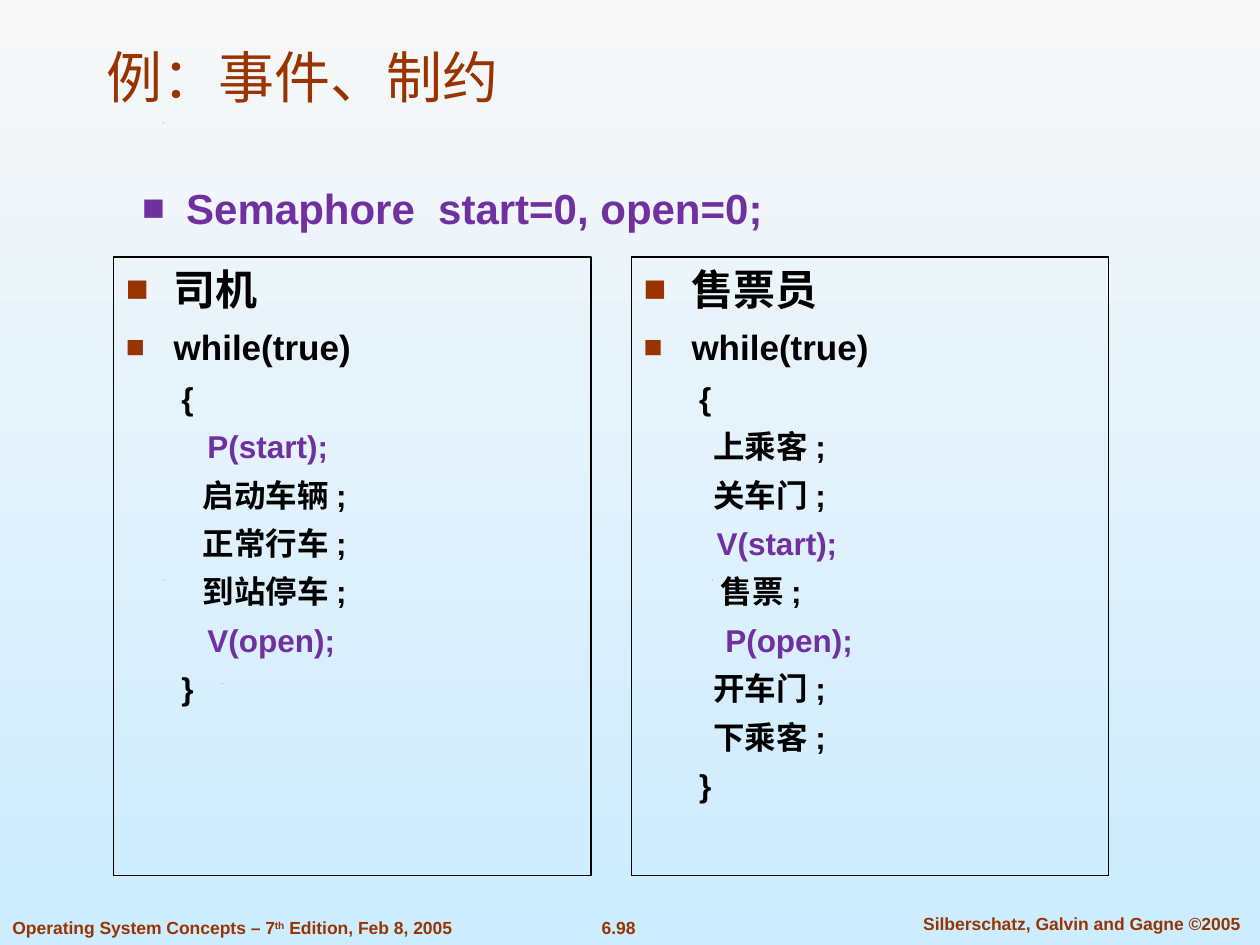
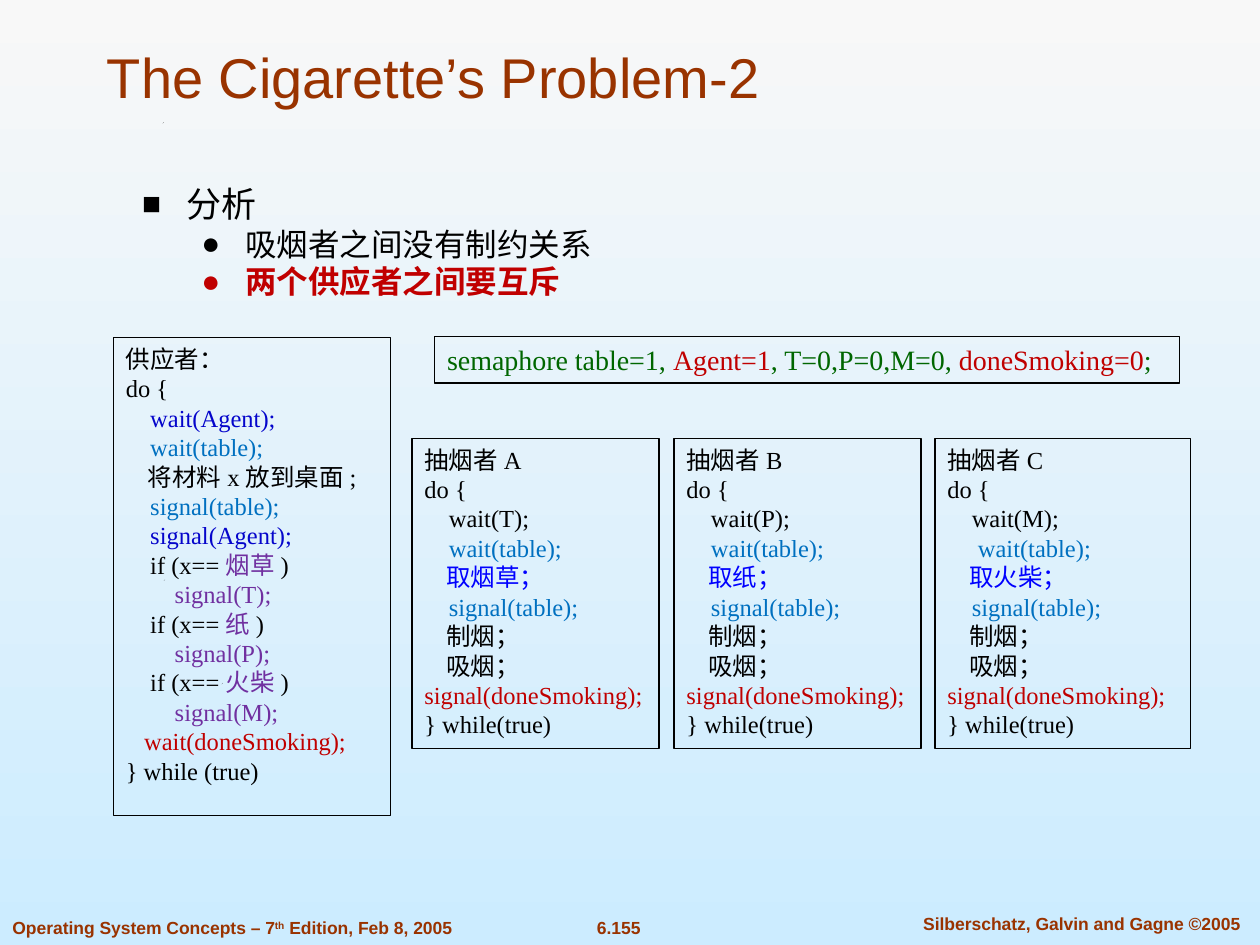
"""Build two slides on semaphores: driver and conductor, then the smokers."""
import lxml.etree
import pptx
import pptx.dml.color
import pptx.enum.shapes
import pptx.enum.text
import pptx.oxml.ns
import pptx.util

Inches = pptx.util.Inches
Pt = pptx.util.Pt
ALIGN = pptx.enum.text.PP_ALIGN
ANCHOR = pptx.enum.text.MSO_ANCHOR

HUES = {
    "top": "F8F8F8", "base": "CCECFF", "rust": "993300", "black": "000000",
    "purple": "7030A0", "red": "C00000", "navy": "0505CB", "sky": "0070C0",
    "blue": "0000FF", "green": "006600",
}
FONTS = {
    "title": {"name": "Arial", "size": Pt(32), "bold": False},
    "foot": {"name": "Arial", "size": Pt(10), "bold": True},
    "head": {"name": "Arial", "size": Pt(24), "bold": True},
    "loop": {"name": "Arial", "size": Pt(20), "bold": True},
    "step": {"name": "Arial", "size": Pt(18), "bold": True},
    "point": {"name": "Arial", "size": Pt(20), "bold": False},
    "sub": {"name": "Arial", "size": Pt(18), "bold": False},
    "code": {"name": "Times New Roman", "size": Pt(14), "bold": False},
    "sign": {"name": "Times New Roman", "size": Pt(16), "bold": False},
}
SQUARE = ("■", 90, 0.38, 0.38)
BLOCK = ("■", 90, 0.48, 0.35)
DISC = ("●", 100, 0.95, 0.35)
SPECKS = [(1.76, 5.42), (1.3, 4.6), (5.65, 4.6), (1.29, 0.97)]

ROLES = [
    ("司机", ["{", ("   P(start);", "purple"), "   启动车辆;", "   正常行车;",
             "   到站停车;", ("   V(open);", "purple"), "}"]),
    ("售票员", ["{", "  上乘客;", "  关车门;", ("  V(start);", "purple"), "   售票;",
              ("   P(open);", "purple"), "  开车门;", "  下乘客;", "}"]),
]
GOODS = [("烟草", "T"), ("纸", "P"), ("火柴", "M")]
SMOKERS = [
    ("A", "T", "取烟草；", "    ", 3.27, 1.96),
    ("B", "P", "取纸；", "    ", 5.35, 1.96),
    ("C", "M", "取火柴；", "     ", 7.42, 2.03),
]
AGENT = [
    "供应者：", "do {", ("    wait(Agent);", "navy"), ("    wait(table);", "sky"),
    "    将材料x放到桌面;", ("    signal(table);", "sky"), ("    signal(Agent);", "navy"),
]
for good, flag in GOODS:
    AGENT += [["    if (x==", (good, "purple"), ")"], (f"        signal({flag});", "purple")]
AGENT += [("   wait(doneSmoking);", "red"), "} while (true)"]
SIGNS = [("semaphore table=1, ", "green"), ("Agent=1", "red"), (", T=0,P=0,M=0, ", "green"),
         ("doneSmoking=0", "red"), (";", "green")]
FOOT = "Operating System Concepts – 7", "th", " Edition, Feb 8, 2005"
CREDIT = "Silberschatz, Galvin and Gagne ©2005"


def shade(hue):
    return pptx.dml.color.RGBColor.from_string(HUES[hue])


def add_mark(para, mark, hue):
    sign, size, left, hang = mark
    props = para._p.get_or_add_pPr()
    props.set("marL", str(Inches(left)))
    props.set("indent", str(-Inches(hang)))

    def add(tag, parent=props, **attrs):
        return lxml.etree.SubElement(parent, pptx.oxml.ns.qn("a:" + tag), attrs)

    add("srgbClr", add("buClr"), val=HUES[hue])
    add("buSzPct", val=str(size * 1000))
    add("buFont", typeface="Arial")
    add("buChar", char=sign)


def write(para, line, style, hue="black"):
    for part in line if isinstance(line, list) else [line]:
        text, tone = part if isinstance(part, tuple) else (part, hue)
        run = para.add_run()
        run.text = text
        for key, value in FONTS[style].items():
            setattr(run.font, key, value)
        run.font.color.rgb = shade(tone)


def fill_box(box, rows, anchor=ANCHOR.TOP, align=ALIGN.LEFT):
    frame = box.text_frame
    frame.word_wrap = True
    frame.vertical_anchor = anchor
    for i, (line, style, opts) in enumerate(rows):
        para = frame.add_paragraph() if i else frame.paragraphs[0]
        para.alignment = align
        if "mark" in opts:
            add_mark(para, opts["mark"], opts["dot"])
        if "left" in opts:
            para._p.get_or_add_pPr().set("marL", str(Inches(opts["left"])))
        para.space_before = Pt(opts.get("gap", 0) if i else 0)
        write(para, line, style, opts.get("hue", "black"))


def add_text(slide, place, rows, **opts):
    box = slide.shapes.add_textbox(*map(Inches, place))
    fill_box(box, rows, **opts)
    return box


def add_frame(slide, place, rows):
    box = slide.shapes.add_shape(pptx.enum.shapes.MSO_SHAPE.RECTANGLE, *map(Inches, place))
    box.shadow.inherit = False
    box.fill.background()
    box.line.color.rgb = shade("black")
    box.line.width = Pt(0.75)
    fill_box(box, rows)


def add_code(slide, place, lines, style="code"):
    add_frame(slide, place, [(line, style, {}) for line in lines])


def add_speck(slide, left, top):
    pen = slide.shapes.build_freeform(Inches(left), Inches(top + 0.01))
    pen.add_line_segments([(Inches(left + 0.01), Inches(top)),
                           (Inches(left), Inches(top + 0.01))])
    speck = pen.convert_to_shape()
    speck.shadow.inherit = False
    speck.fill.solid()
    speck.fill.fore_color.rgb = shade("black")
    speck.line.fill.background()


def add_slide(deck, title, number):
    slide = deck.slides.add_slide(deck.slide_layouts[6])
    rust = {"hue": "rust"}
    for spot in SPECKS:
        add_speck(slide, *spot)
    add_text(slide, (0.75, 0.25, 8.83, 0.67), [(title, "title", rust)], anchor=ANCHOR.BOTTOM)
    foot = add_text(slide, (0, 7.23, 4.11, 0.27), [(list(FOOT), "foot", rust)])
    foot.text_frame.paragraphs[0].runs[1].font._element.set("baseline", "30000")
    for place, text in [((4.59, 7.23, 0.64, 0.27), number), ((7.1, 7.2, 2.97, 0.27), CREDIT)]:
        add_text(slide, place, [(text, "foot", rust)], align=ALIGN.CENTER)
    return slide


def paint(master):
    fill = master.background.fill
    fill.gradient()
    fill.gradient_angle = 270
    for stop, hue, spot in zip(fill.gradient_stops, ("top", "base"), (0, 1)):
        stop.color.rgb = shade(hue)
        stop.position = spot


def add_roles(deck):
    slide = add_slide(deck, "例：事件、制约", "6.98")
    add_text(slide, (0.9, 1.4, 8.04, 0.64), [
        ("Semaphore  start=0, open=0;", "head",
         {"mark": BLOCK, "dot": "purple", "hue": "purple"})])
    for i, (role, steps) in enumerate(ROLES):
        mark = {"mark": SQUARE, "dot": "rust", "gap": 7}
        rows = [(role, "head", mark), ("while(true)", "loop", mark)]
        rows += [(step, "step", {"left": 0.44, "gap": 6.1}) for step in steps]
        add_frame(slide, (0.9 + 4.11 * i, 2.04, 3.79, 4.91), rows)


def add_smoke(deck):
    slide = add_slide(deck, "The Cigarette’s Problem-2", "6.155")
    add_text(slide, (0.9, 1.4, 8.37, 1.26), [
        ("分析", "point", {"mark": BLOCK, "dot": "black"}),
        ("吸烟者之间没有制约关系", "sub", {"mark": DISC, "dot": "black"}),
        ("两个供应者之间要互斥", "step", {"mark": DISC, "dot": "red", "hue": "red"})])
    add_code(slide, (0.9, 2.68, 2.2, 3.79), AGENT)
    for name, flag, take, pad, left, width in SMOKERS:
        add_code(slide, (left, 3.48, width, 2.46), [
            f"抽烟者{name}", "do {", f"    wait({flag});", (pad + "wait(table);", "sky"),
            ("    " + take, "blue"), ("    signal(table);", "sky"), "    制烟；", "    吸烟；",
            ("signal(doneSmoking);", "red"), "} while(true)"])
    add_code(slide, (3.45, 2.67, 5.91, 0.37), [SIGNS], "sign")


def main():
    deck = pptx.Presentation()
    deck.slide_width, deck.slide_height = Inches(10), Inches(7.5)
    paint(deck.slide_master)
    add_roles(deck)
    add_smoke(deck)
    deck.save("out.pptx")


if __name__ == "__main__":
    main()
